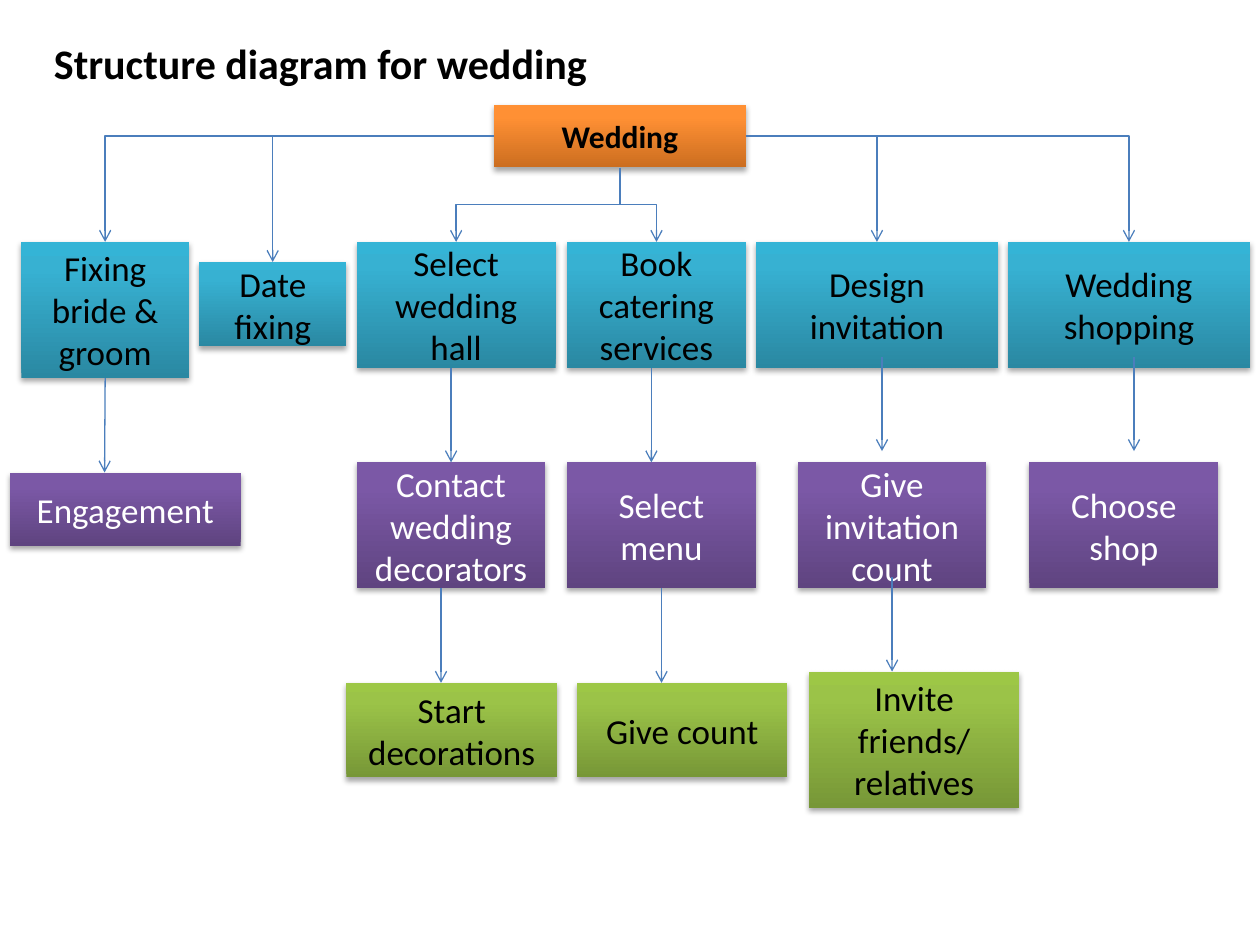
import dataclasses
import typing

import lxml.etree
import pptx
import pptx.dml.color
import pptx.enum.shapes
import pptx.enum.text
import pptx.oxml.ns
import pptx.shapes.autoshape
import pptx.shapes.connector
import pptx.slide
import pptx.util

Inches = pptx.util.Inches
qn = pptx.oxml.ns.qn
Connector = pptx.shapes.connector.Connector
Shape = pptx.shapes.autoshape.Shape
Slide = pptx.slide.Slide

TOP, LEFT, BOTTOM, RIGHT = range(4)
ARROW_LENGTH = 0.75


@dataclasses.dataclass(frozen=True)
class Level:
    dark: str
    middle: str
    light: str
    text: str = "000000"
    size: int = 20
    bold: bool = False


@dataclasses.dataclass(frozen=True)
class Theme:
    font: str = "Calibri"
    title_size: int = 24
    title_color: str = "000000"
    line_color: str = "4B7EBC"
    line_width: float = 0.75
    shadow_color: str = "000000"
    root: Level = Level("CC6E20", "FF9034", "FF9136", size=18, bold=True)
    task: Level = Level("2A88A2", "37B1D2", "34B4D6")
    step: Level = Level("5F4480", "7B58A6", "7C57A8", text="FFFFFF")
    result: Level = Level("779737", "9BC348", "9DC746")


THEME = Theme()


class Box(typing.NamedTuple):
    text: str
    level: Level
    left: float
    top: float
    width: float
    height: float


class Arrow(typing.NamedTuple):
    x: float
    top: float
    source: str = ""
    target: str = ""


BOXES = [
    Box("Wedding", THEME.root, 3.92, 0.83, 2, 0.5),
    Box("Fixing bride & groom", THEME.task, 0.17, 1.92, 1.33, 1.08),
    Box("Date fixing", THEME.task, 1.58, 2.08, 1.17, 0.67),
    Box("Select wedding hall", THEME.task, 2.83, 1.92, 1.58, 1),
    Box("Book catering services", THEME.task, 4.5, 1.92, 1.42, 1),
    Box("Design invitation", THEME.task, 6, 1.92, 1.92, 1),
    Box("Wedding shopping", THEME.task, 8, 1.92, 1.92, 1),
    Box("Engagement", THEME.step, 0.08, 3.75, 1.83, 0.58),
    Box("Contact wedding decorators", THEME.step, 2.83, 3.67, 1.5, 1),
    Box("Select menu", THEME.step, 4.5, 3.67, 1.5, 1),
    Box("Give\ninvitation count", THEME.step, 6.33, 3.67, 1.5, 1),
    Box("Choose shop", THEME.step, 8.17, 3.67, 1.5, 1),
    Box("Start\ndecorations", THEME.result, 2.75, 5.42, 1.67, 0.75),
    Box("Give count", THEME.result, 4.58, 5.42, 1.67, 0.75),
    Box("Invite friends/ relatives", THEME.result, 6.42, 5.33, 1.67, 1.08),
]

BRANCHES = [
    ("Fixing bride & groom", LEFT),
    ("Wedding shopping", RIGHT),
    ("Date fixing", LEFT),
    ("Design invitation", RIGHT),
    ("Select wedding hall", BOTTOM),
    ("Book catering services", BOTTOM),
]

ARROWS = [
    Arrow(0.83, 3, source="Fixing bride & groom"),
    Arrow(7, 2.83),
    Arrow(5.17, 2.92),
    Arrow(3.58, 2.92, target="Contact wedding decorators"),
    Arrow(5.25, 4.67, source="Select menu"),
    Arrow(3.5, 4.67),
    Arrow(9, 2.83),
    Arrow(7.08, 4.58),
]


def rgb(color: str) -> pptx.dml.color.RGBColor:
    return pptx.dml.color.RGBColor.from_string(color)


def add_color(parent: typing.Any, color: str) -> typing.Any:
    return lxml.etree.SubElement(parent, qn("a:srgbClr"), val=color)


def format_runs(text_frame: typing.Any, size: int, color: str, bold: bool) -> None:
    for para in text_frame.paragraphs:
        for span in para.runs:
            span.font.name = THEME.font
            span.font.size = pptx.util.Pt(size)
            span.font.bold = bold
            span.font.color.rgb = rgb(color)


def add_title(slide: Slide, text: str) -> None:
    box = slide.shapes.add_textbox(Inches(0.33), Inches(0.25), Inches(5.5), Inches(0.5))
    box.text_frame.word_wrap = True
    box.text_frame.auto_size = pptx.enum.text.MSO_AUTO_SIZE.SHAPE_TO_FIT_TEXT
    box.text_frame.text = text
    format_runs(box.text_frame, THEME.title_size, THEME.title_color, True)


def paint_box(shape: Shape, level: Level) -> None:
    shape.fill.gradient()
    shape.fill.gradient_angle = 90
    shape.line.fill.background()
    shape.shadow.inherit = False
    properties = shape.element.spPr
    stops = properties.find(qn("a:gradFill")).find(qn("a:gsLst"))
    for stop in list(stops):
        stops.remove(stop)
    for percent, color in ((0, level.dark), (80, level.middle), (100, level.light)):
        add_color(lxml.etree.SubElement(stops, qn("a:gs"), pos=str(percent * 1000)), color)
    shadow = lxml.etree.SubElement(
        properties.find(qn("a:effectLst")), qn("a:outerShdw"),
        blurRad="40000", dist="23000", dir="5400000", rotWithShape="0")
    lxml.etree.SubElement(add_color(shadow, THEME.shadow_color), qn("a:alpha"), val="35000")


def add_box(slide: Slide, box: Box) -> Shape:
    shape = slide.shapes.add_shape(
        pptx.enum.shapes.MSO_SHAPE.RECTANGLE,
        Inches(box.left), Inches(box.top), Inches(box.width), Inches(box.height))
    paint_box(shape, box.level)
    frame = shape.text_frame
    frame.word_wrap = True
    frame.vertical_anchor = pptx.enum.text.MSO_ANCHOR.MIDDLE
    frame.text = box.text
    for para in frame.paragraphs:
        para.alignment = pptx.enum.text.PP_ALIGN.CENTER
    format_runs(frame, box.level.size, box.level.text, box.level.bold)
    return shape


def style_connector(connector: Connector) -> None:
    connector.line.color.rgb = rgb(THEME.line_color)
    connector.line.width = pptx.util.Pt(THEME.line_width)
    properties = connector.element.spPr
    lxml.etree.SubElement(properties.find(qn("a:ln")), qn("a:tailEnd"), type="arrow")
    lxml.etree.SubElement(properties, qn("a:effectLst"))


def turn_downward(connector: Connector) -> None:
    goes_left = connector.end_x < connector.begin_x
    width, height = connector.width, connector.height
    connector.left += (width - height) // 2
    connector.top += (height - width) // 2
    connector.width, connector.height = height, width
    transform = connector.element.spPr.find(qn("a:xfrm"))
    transform.set("rot", "5400000" if goes_left else "16200000")
    transform.set("flipH", "0" if goes_left else "1")


def add_branch(slide: Slide, root: Shape, task: Shape, side: int) -> None:
    connector = slide.shapes.add_connector(pptx.enum.shapes.MSO_CONNECTOR.ELBOW, 0, 0, 0, 0)
    connector.begin_connect(root, side)
    connector.end_connect(task, TOP)
    if side == BOTTOM:
        turn_downward(connector)
    else:
        connector.element.spPr.find(qn("a:prstGeom")).set("prst", "bentConnector2")
    style_connector(connector)


def add_arrow(slide: Slide, arrow: Arrow, shapes: dict[str, Shape]) -> None:
    connector = slide.shapes.add_connector(
        pptx.enum.shapes.MSO_CONNECTOR.STRAIGHT,
        Inches(arrow.x), Inches(arrow.top), Inches(arrow.x), Inches(arrow.top + ARROW_LENGTH))
    if arrow.source:
        connector.begin_connect(shapes[arrow.source], BOTTOM)
    if arrow.target:
        connector.end_connect(shapes[arrow.target], TOP)
    style_connector(connector)


def main() -> None:
    deck = pptx.Presentation()
    deck.slide_width, deck.slide_height = Inches(10), Inches(7.5)
    page = deck.slides.add_slide(deck.slide_layouts[6])
    add_title(page, "Structure diagram for wedding")
    shapes = {box.text: add_box(page, box) for box in BOXES}
    for task, side in BRANCHES:
        add_branch(page, shapes["Wedding"], shapes[task], side)
    for arrow in ARROWS:
        add_arrow(page, arrow, shapes)
    deck.save("out.pptx")


if __name__ == "__main__":
    main()
